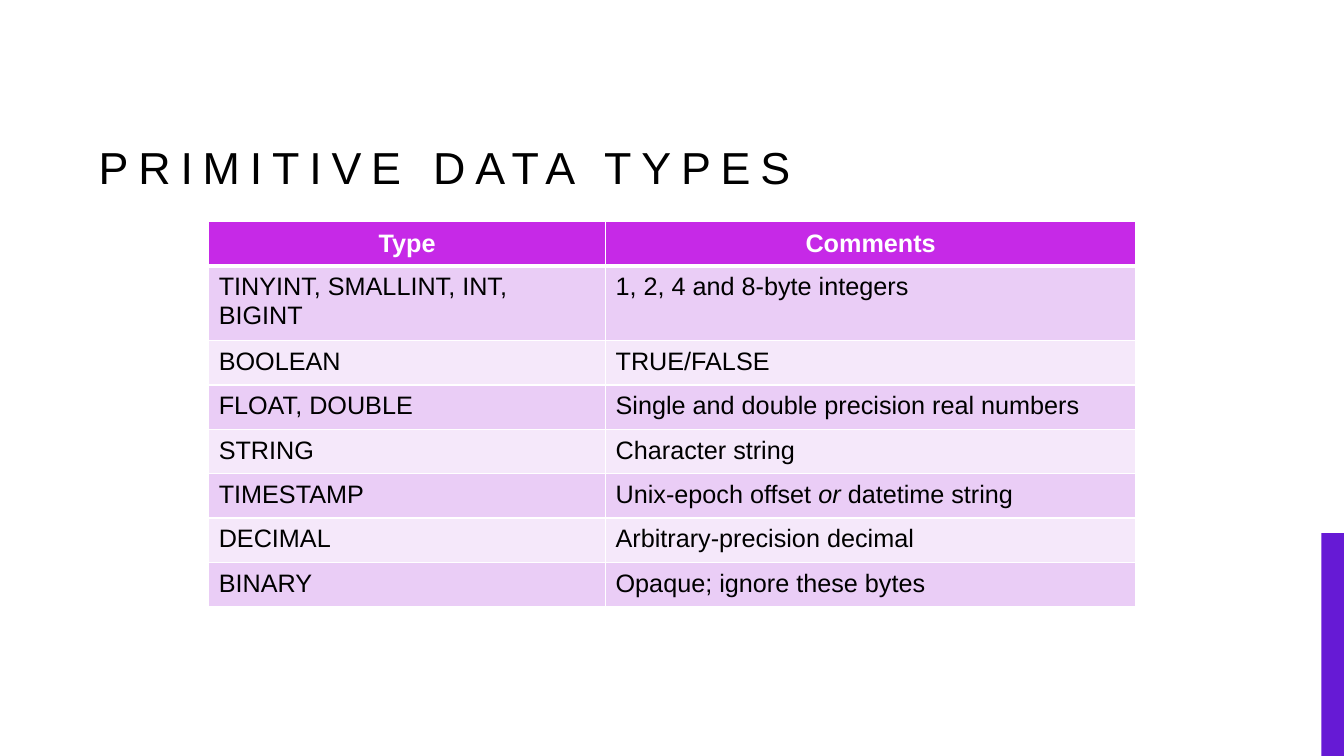
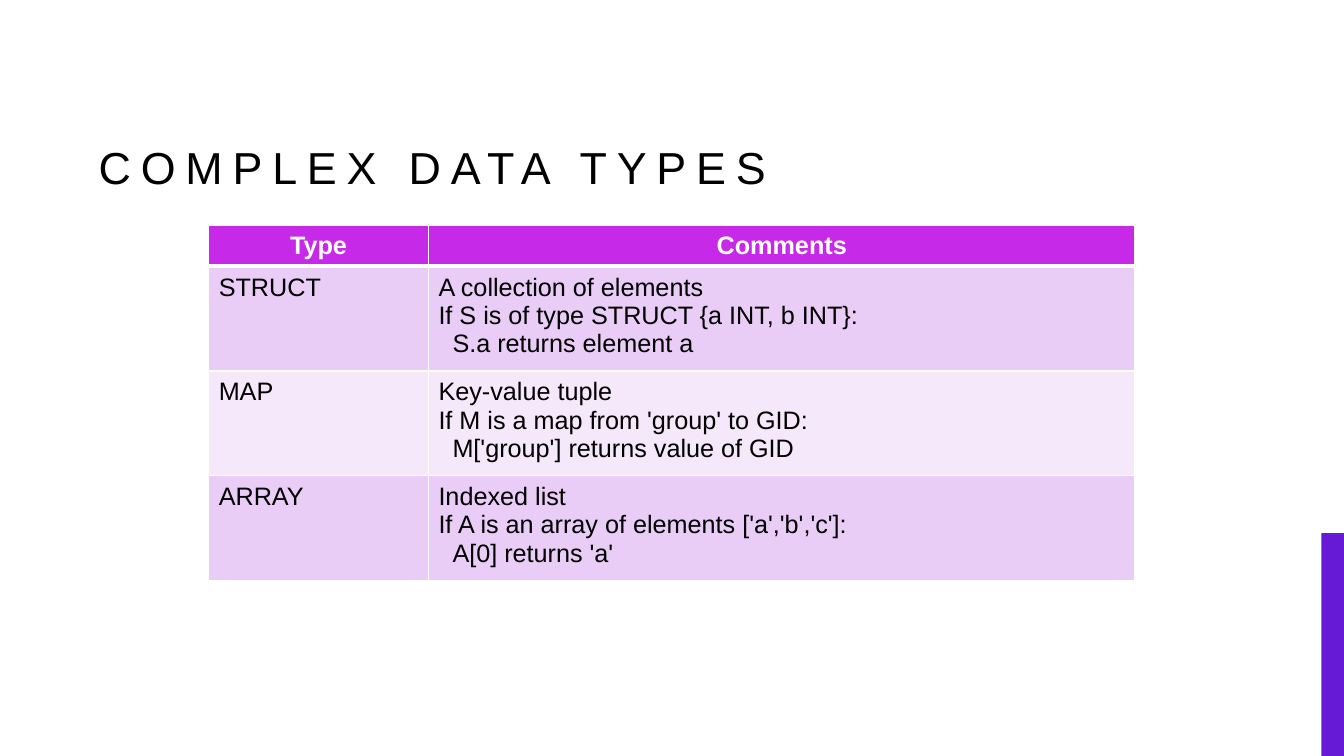
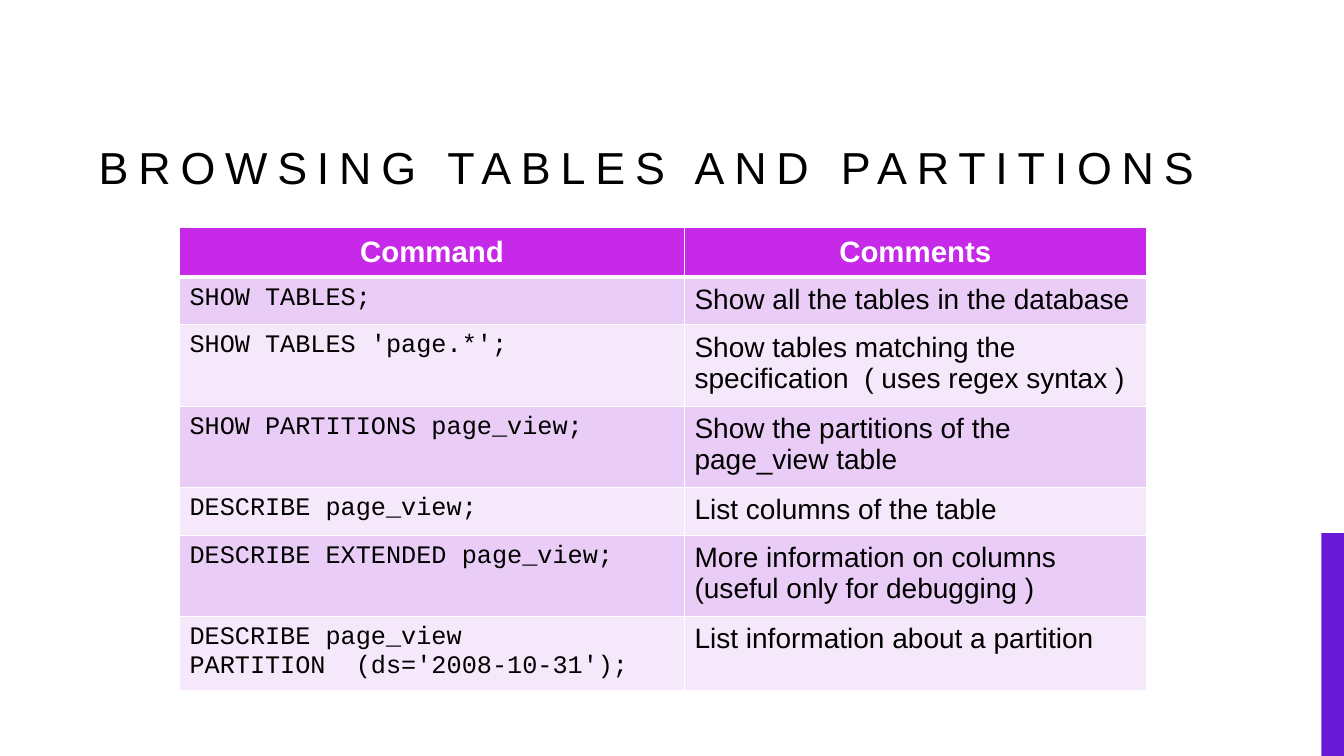
"""Build three slides of reference tables on data types and browsing commands."""
import dataclasses

import lxml.etree
import pptx
import pptx.dml.color
import pptx.enum.shapes
import pptx.enum.text
import pptx.oxml.ns
import pptx.util


@dataclasses.dataclass(frozen=True)
class Theme:
    band: str = "661AD5"
    header: str = "C629E7"
    stripes: tuple = ("EACDF6", "F5E8FA")
    paper: str = "FFFFFF"
    ink: str = "000000"
    font: str = "Arial"
    code_font: str = "Courier New"
    title_size: int = 32
    title_tracking: int = 7
    body_size: int = 18
    comment_size: int = 20
    command_header_size: int = 21
    rule: int = 1
    header_rule: int = 3


class Deck:
    GRID = 100

    def __init__(self, theme):
        self.theme = theme
        self.prs = pptx.Presentation()
        self.prs.slide_width = pptx.util.Inches(13.33)
        self.prs.slide_height = pptx.util.Inches(7.5)
        self.s = None

    def x(self, columns):
        return round(self.prs.slide_width * columns / self.GRID)

    def y(self, rows):
        return round(self.prs.slide_height * rows / self.GRID)

    def box(self, left, top, width, height):
        return self.x(left), self.y(top), self.x(width), self.y(height)

    def color(self, value):
        return pptx.dml.color.RGBColor.from_string(value)

    def fill(self, target, value):
        target.fill.solid()
        target.fill.fore_color.rgb = self.color(value)

    def style(self, r, size, font, color, bold=False, italic=False):
        r.font.size = pptx.util.Pt(size)
        r.font.name = font
        r.font.bold = bold
        r.font.italic = italic
        r.font.color.rgb = self.color(color)

    def slide(self, title):
        self.s = self.prs.slides.add_slide(self.prs.slide_layouts[6])
        self.band()
        self.title(title)

    def band(self):
        sp = self.s.shapes.add_shape(
            pptx.enum.shapes.MSO_SHAPE.RECTANGLE, *self.box(98.31, 70.53, 1.69, 29.47))
        sp.shadow.inherit = False
        self.fill(sp, self.theme.band)
        sp.line.fill.background()

    def title(self, text):
        sp = self.s.shapes.add_textbox(*self.box(6.6, 5.33, 85, 20.93))
        tf = sp.text_frame
        tf.word_wrap = True
        tf.vertical_anchor = pptx.enum.text.MSO_ANCHOR.BOTTOM
        tf.text = text
        p = tf.paragraphs[0]
        p.line_spacing = 1.2
        r = p.runs[0]
        self.style(r, self.theme.title_size, self.theme.font, self.theme.ink)
        r.font._element.set("spc", str(self.theme.title_tracking * 100))

    def borders(self, cell, top, bottom):
        tc_pr = cell._tc.get_or_add_tcPr()
        qn = pptx.oxml.ns.qn
        widths = {"L": self.theme.rule, "R": self.theme.rule, "T": top, "B": bottom}
        for side, width in widths.items():
            ln = lxml.etree.SubElement(tc_pr, qn(f"a:ln{side}"), w=str(pptx.util.Pt(width)))
            solid = lxml.etree.SubElement(ln, qn("a:solidFill"))
            lxml.etree.SubElement(solid, qn("a:srgbClr"), val=self.theme.paper)

    def cell(self, cell, row, text, size, font, pad):
        t = self.theme
        head = row == 0
        self.borders(cell, t.header_rule if row == 1 else t.rule,
                     t.header_rule if head else t.rule)
        self.fill(cell, t.header if head else t.stripes[(row - 1) % 2])
        cell.margin_top = cell.margin_bottom = pptx.util.Inches(pad)
        if head:
            cell.vertical_anchor = pptx.enum.text.MSO_ANCHOR.MIDDLE
        cell.text_frame.text = text.replace("|", "")
        for p, line in zip(cell.text_frame.paragraphs, text.split("\n")):
            if head:
                p.alignment = pptx.enum.text.PP_ALIGN.CENTER
            if "|" in line:
                p.clear()
                for piece in line.split("|"):
                    p.add_run().text = piece
            for i, r in enumerate(p.runs):
                self.style(r, size, font, t.paper if head else t.ink, head, i % 2 == 1)
        for p in cell.text_frame.paragraphs[2:]:
            p._p.get_or_add_pPr().set("marL", str(pptx.util.Pt(10)))

    def table(self, left, top, widths, rows, header_size, fonts, sizes,
              header_height=5.47, header_pad=0.07):
        height = 5.47
        total = header_height + height * (len(rows) - 1)
        frame = self.s.shapes.add_table(
            len(rows), len(widths), *self.box(left, top, sum(widths), total))
        tbl = frame.table
        for column, width in zip(tbl.columns, widths):
            column.width = self.x(width)
        for i, texts in enumerate(rows):
            tbl.rows[i].height = self.y(height if i else header_height)
            for j, text in enumerate(texts):
                size, font, pad = ((sizes[j], fonts[j], 0.07) if i
                                   else (header_size, self.theme.font, header_pad))
                self.cell(tbl.cell(i, j), i, text, size, font, pad)


PRIMITIVE_TYPES = [
    ("Type", "Comments"),
    ("TINYINT, SMALLINT, INT, BIGINT", "1, 2, 4 and 8-byte integers"),
    ("BOOLEAN", "TRUE/FALSE"),
    ("FLOAT, DOUBLE", "Single and double precision real numbers"),
    ("STRING", "Character string"),
    ("TIMESTAMP", "Unix-epoch offset |or |datetime string"),
    ("DECIMAL", "Arbitrary-precision decimal"),
    ("BINARY", "Opaque; ignore these bytes"),
]
COMPLEX_TYPES = [
    ("Type", "Comments"),
    ("STRUCT", "A collection of elements\nIf S is of type STRUCT {a INT, b INT}:\n"
               "S.a returns element a"),
    ("MAP", "Key-value tuple\nIf M is a map from 'group' to GID:\n"
            "M['group'] returns value of GID"),
    ("ARRAY", "Indexed list\nIf A is an array of elements ['a','b','c']:\n"
              "A[0] returns 'a'"),
]
COMMANDS = [
    ("Command", "Comments"),
    ("SHOW TABLES;", "Show all the tables in the database"),
    ("SHOW TABLES 'page.*';",
     "Show tables matching the specification  ( uses regex syntax )"),
    ("SHOW PARTITIONS page_view;", "Show the partitions of the page_view table"),
    ("DESCRIBE page_view;", "List columns of the table"),
    ("DESCRIBE EXTENDED page_view;",
     "More information on columns (useful only for debugging )"),
    ("DESCRIBE page_view\nPARTITION  (ds='2008-10-31');",
     "List information about a partition"),
]


def main():
    t = Theme()
    deck = Deck(t)
    body = {"header_size": t.body_size, "fonts": (t.font, t.font),
            "sizes": (t.body_size, t.body_size)}

    deck.slide("PRIMITIVE DATA TYPES")
    deck.table(15.53, 29.33, (29.53, 39.45), PRIMITIVE_TYPES, **body)

    deck.slide("COMPLEX DATA TYPES")
    deck.table(15.53, 29.87, (16.35, 52.58), COMPLEX_TYPES, **body,
               header_height=4.93, header_pad=0.05)

    deck.slide("BROWSING TABLES AND PARTITIONS")
    deck.table(13.35, 30.13, (37.58, 34.35), COMMANDS, t.command_header_size,
               (t.code_font, t.font), (t.body_size, t.comment_size))

    deck.prs.save("out.pptx")


if __name__ == "__main__":
    main()
